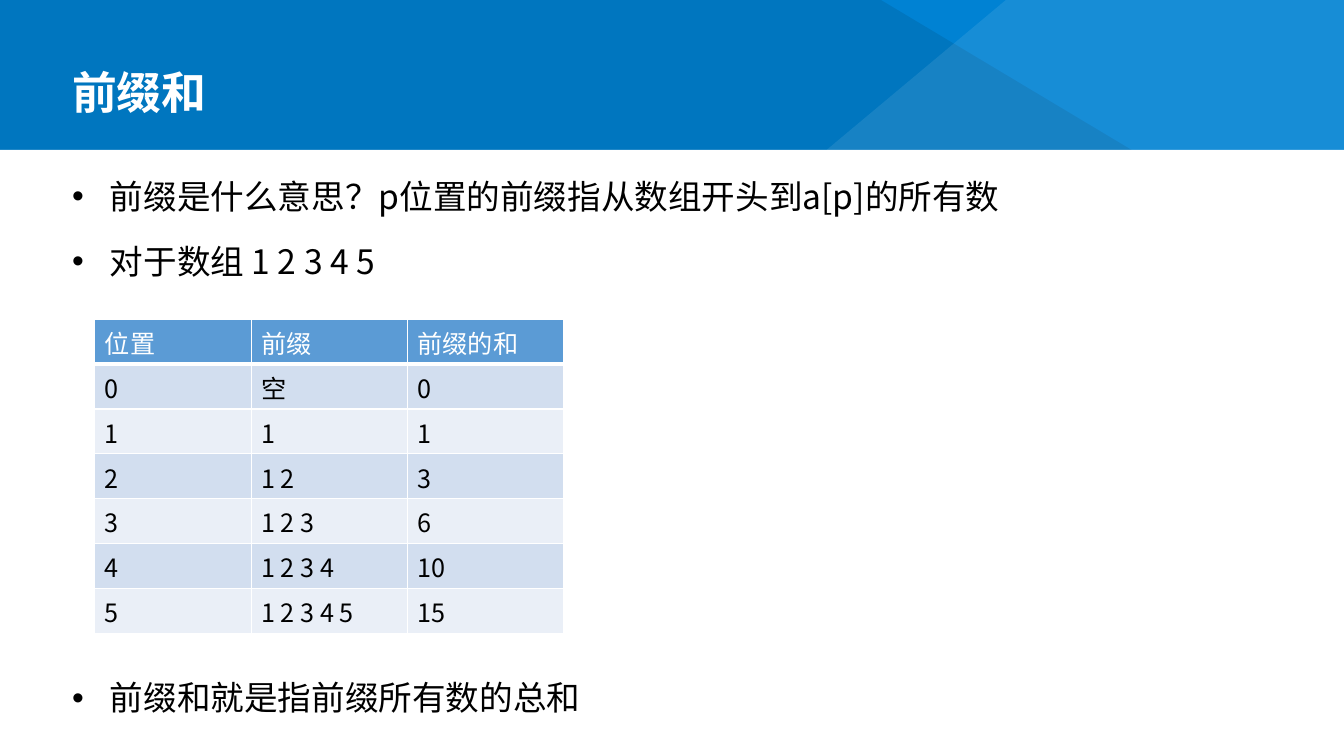
from dataclasses import dataclass
from itertools import accumulate

from lxml import etree
from pptx import Presentation
from pptx.dml.color import RGBColor
from pptx.enum.shapes import MSO_SHAPE
from pptx.enum.text import MSO_ANCHOR
from pptx.oxml.ns import qn
from pptx.util import Cm, Pt

RECTANGLE = MSO_SHAPE.RECTANGLE
TOP, BOTTOM = MSO_ANCHOR.TOP, MSO_ANCHOR.BOTTOM


@dataclass(frozen=True)
class Theme:
    font: str = "Noto Sans CJK SC"
    title_size: int = 32
    body_size: int = 24
    table_size: int = 18
    blue: str = "0082D3"
    white: str = "FFFFFF"
    black: str = "000000"
    table_head: str = "5B9BD5"
    table_bands: tuple = ("D2DEEF", "EAEFF7")
    facet_opacity: int = 9


THEME = Theme()
SLIDE_W, SLIDE_H, BANNER_H = 33.87, 19.05, 3.78
MARGIN = 1.57
NUMBERS = [1, 2, 3, 4, 5]
# Each bullet with the space before it in points; the last one clears the table.
BULLETS = [
    ("前缀是什么意思？p位置的前缀指从数组开头到a[p]的所有数", 0),
    ("对于数组 1 2 3 4 5", 10),
    ("前缀和就是指前缀所有数的总和", 276),
]


def rgb(color):
    return RGBColor.from_string(color)


def paint(shape, color):
    shape.shadow.inherit = False
    shape.fill.solid()
    shape.fill.fore_color.rgb = rgb(color)
    shape.line.fill.background()


def add_panel(slide, top, height, color):
    panel = slide.shapes.add_shape(RECTANGLE, 0, Cm(top), Cm(SLIDE_W), Cm(height))
    paint(panel, color)


def add_facet(slide, corners, color):
    """Add a see-through polygon that shades the banner."""
    points = [(Cm(x), Cm(y)) for x, y in corners]
    builder = slide.shapes.build_freeform(*points[0])
    builder.add_line_segments(points[1:], close=True)
    facet = builder.convert_to_shape()
    paint(facet, color)
    tint = facet.fill._xPr.find(qn("a:solidFill"))[0]
    etree.SubElement(tint, qn("a:alpha"), val=str(THEME.facet_opacity * 1000))


def add_run(paragraph, text, size, color, bold=False):
    run = paragraph.add_run()
    run.text = text
    run.font.size = Pt(size)
    run.font.bold = bold
    run.font.color.rgb = rgb(color)
    run.font.name = THEME.font
    latin = run.font._element.find(qn("a:latin"))
    latin.addnext(etree.Element(qn("a:ea"), typeface=THEME.font))


def add_text_frame(slide, top, width, height, anchor):
    box = slide.shapes.add_textbox(Cm(MARGIN), Cm(top), Cm(width), Cm(height))
    frame = box.text_frame
    frame.word_wrap = True
    frame.vertical_anchor = anchor
    return frame


def add_title(slide, text):
    paragraph = add_text_frame(slide, 1.57, 24.61, 1.57, BOTTOM).paragraphs[0]
    paragraph.line_spacing = 0.9
    add_run(paragraph, text, THEME.title_size, THEME.white, bold=True)


def add_bullets(slide, bullets):
    frame = add_text_frame(slide, 4.06, 30.66, 14.8, TOP)
    for index, (text, space) in enumerate(bullets):
        paragraph = frame.add_paragraph() if index else frame.paragraphs[0]
        properties = paragraph._p.get_or_add_pPr()
        properties.set("marL", str(Cm(0.95)))
        properties.set("indent", str(-Cm(0.95)))
        etree.SubElement(properties, qn("a:buFont"), typeface="Arial")
        etree.SubElement(properties, qn("a:buChar"), char="•")
        paragraph.line_spacing = 1.25
        paragraph.space_before = Pt(space)
        add_run(paragraph, text, THEME.body_size, THEME.black)


def add_borders(cell, bottom_width):
    properties = cell._tc.get_or_add_tcPr()
    widths = {"a:lnL": 1, "a:lnR": 1, "a:lnT": 1, "a:lnB": bottom_width}
    for position, (side, width) in enumerate(widths.items()):
        border = etree.Element(qn(side), w=str(Pt(width)))
        fill = etree.SubElement(border, qn("a:solidFill"))
        etree.SubElement(fill, qn("a:srgbClr"), val=THEME.white)
        properties.insert(position, border)


def prefix_rows(numbers):
    """Return the position, prefix and prefix sum of every row."""
    rows = [("位置", "前缀", "前缀的和")]
    for position, total in enumerate(accumulate(numbers, initial=0)):
        prefix = " ".join(map(str, numbers[:position])) or "空"
        rows.append((str(position), prefix, str(total)))
    return rows


def add_prefix_table(slide, rows):
    column_w, row_h = Cm(3.94), Cm(1.13)
    columns = len(rows[0])
    table = slide.shapes.add_table(
        len(rows), columns, Cm(2.39), Cm(8.05), column_w * columns, row_h * len(rows)
    ).table
    for r, row in enumerate(rows):
        is_head = r == 0
        fill = THEME.table_head if is_head else THEME.table_bands[(r - 1) % 2]
        color = THEME.white if is_head else THEME.black
        for c, text in enumerate(row):
            cell = table.cell(r, c)
            cell.fill.solid()
            cell.fill.fore_color.rgb = rgb(fill)
            add_borders(cell, 3 if is_head else 1)
            add_run(cell.text_frame.paragraphs[0], text, THEME.table_size, color)


def main():
    prs = Presentation()
    prs.slide_width, prs.slide_height = Cm(SLIDE_W), Cm(SLIDE_H)
    slide = prs.slides.add_slide(prs.slide_layouts[6])

    add_panel(slide, 0, SLIDE_H, THEME.blue)
    dark_facet = [(0, 0), (22.2, 0), (28.52, BANNER_H), (0, BANNER_H)]
    light_facet = [(25.35, 0), (SLIDE_W, 0), (SLIDE_W, BANNER_H), (20.83, BANNER_H)]
    add_facet(slide, dark_facet, THEME.black)
    add_facet(slide, light_facet, THEME.white)
    add_panel(slide, BANNER_H, SLIDE_H - BANNER_H, THEME.white)

    add_title(slide, "前缀和")
    add_bullets(slide, BULLETS)
    add_prefix_table(slide, prefix_rows(NUMBERS))
    prs.save("out.pptx")


if __name__ == "__main__":
    main()
